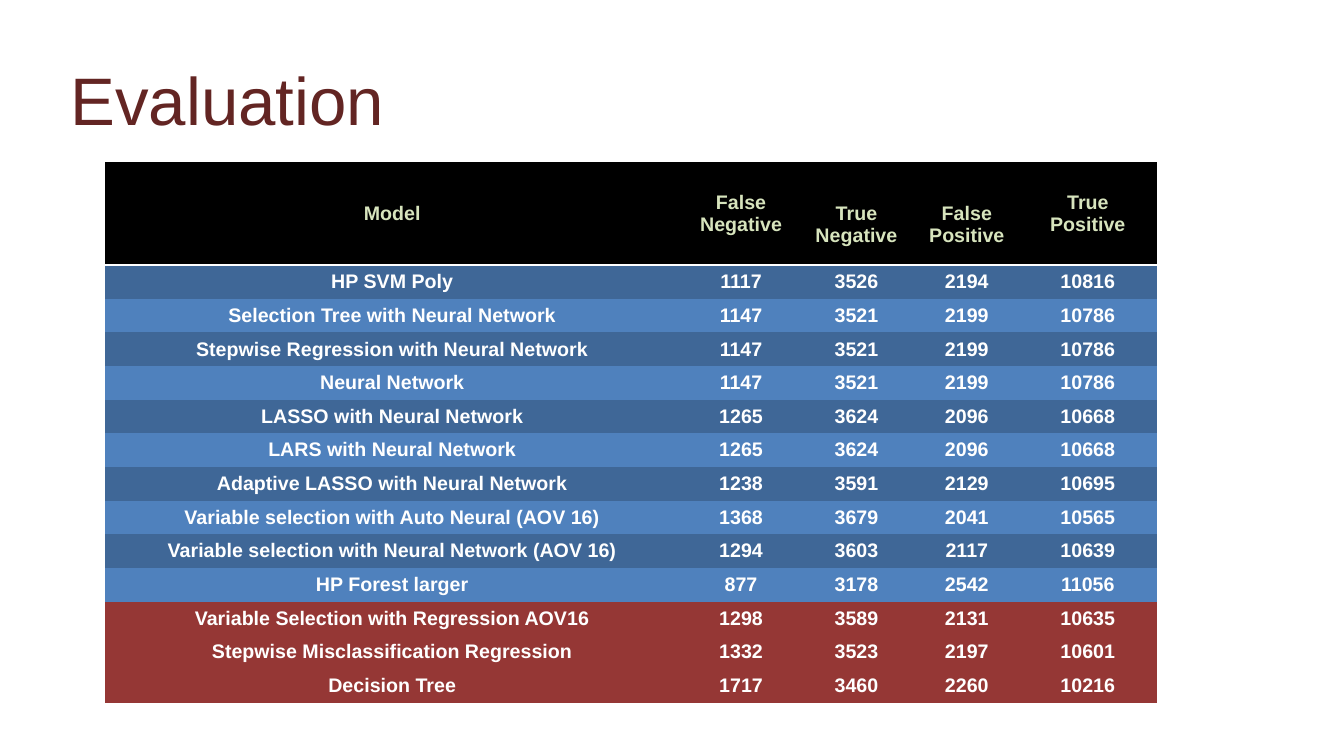
from pptx import Presentation
from pptx.dml.color import RGBColor
from pptx.enum.text import MSO_ANCHOR, PP_ALIGN
from pptx.oxml import parse_xml
from pptx.oxml.ns import nsdecls, qn
from pptx.util import Inches, Pt

LEFT, CENTER = PP_ALIGN.LEFT, PP_ALIGN.CENTER
TOP, MIDDLE = MSO_ANCHOR.TOP, MSO_ANCHOR.MIDDLE
NO_GRID = "{2D5ABB26-0587-4C30-8999-92F81FD0307C}"


class Theme:
    font = "Arial"
    title_size, cell_size = 48, 14
    title, head_text, text = "632523", "D7E4BD", "FFFFFF"
    head, dark, light, red = "000000", "3F6797", "4F81BD", "953735"
    rule = "FFFFFF"


HEADS = ["Model", "False\nNegative", "True\nNegative",
         "False\nPositive", "True\nPositive"]
LOWERED = (2, 3)
WIDTHS = [5.75, 1.17, 1.12, 1.07, 1.33]
HEAD_HIGH, ROW_HIGH = 1.02, 4.34 / 13
NEURAL = [
    ("HP SVM Poly", 1117, 3526, 2194, 10816),
    ("Selection Tree with Neural Network", 1147, 3521, 2199, 10786),
    ("Stepwise Regression with Neural Network", 1147, 3521, 2199, 10786),
    ("Neural Network", 1147, 3521, 2199, 10786),
    ("LASSO with Neural Network", 1265, 3624, 2096, 10668),
    ("LARS with Neural Network", 1265, 3624, 2096, 10668),
    ("Adaptive LASSO with Neural Network", 1238, 3591, 2129, 10695),
    ("Variable selection with Auto Neural (AOV 16)", 1368, 3679, 2041, 10565),
    ("Variable selection with Neural Network (AOV 16)", 1294, 3603, 2117, 10639),
    ("HP Forest larger", 877, 3178, 2542, 11056),
]
OTHERS = [
    ("Variable Selection with Regression AOV16", 1298, 3589, 2131, 10635),
    ("Stepwise Misclassification Regression", 1332, 3523, 2197, 10601),
    ("Decision Tree", 1717, 3460, 2260, 10216),
]


def write(frame, text, size, color, bold=False, align=LEFT):
    """Fill a text frame, one paragraph per line of text."""
    frame.word_wrap = True
    frame.text = text
    for para in frame.paragraphs:
        para.alignment = align
        font = para.runs[0].font
        font.name, font.size, font.bold = Theme.font, Pt(size), bold
        font.color.rgb = RGBColor.from_string(color)


class Page:
    def __init__(self, slide, theme):
        self.slide, self.theme = slide, theme

    def title(self, text, left, top, width, height):
        box = self.slide.shapes.add_textbox(
            Inches(left), Inches(top), Inches(width), Inches(height))
        frame = box.text_frame
        frame.margin_left = frame.margin_right = frame.margin_bottom = 0
        frame.margin_top = Inches(0.06)
        frame.vertical_anchor = TOP
        write(frame, text, self.theme.title_size, self.theme.title)

    def table(self, left, top, widths, heights):
        """Add a plain table with no style, banding or grid."""
        frame = self.slide.shapes.add_table(
            len(heights), len(widths), Inches(left), Inches(top),
            Inches(sum(widths)), Inches(sum(heights)))
        for style in frame.element.iter(qn("a:tableStyleId")):
            style.text = NO_GRID
        table = frame.table
        table.first_row = table.horz_banding = False
        for col, width in zip(table.columns, widths):
            col.width = Inches(width)
        for row, height in zip(table.rows, heights):
            row.height = Inches(height)
        return table

    def cell(self, cell, text, fill, color):
        cell.fill.solid()
        cell.fill.fore_color.rgb = RGBColor.from_string(fill)
        cell.vertical_anchor = MIDDLE
        cell.margin_right = Inches(0.15)
        write(cell.text_frame, str(text), self.theme.cell_size, color,
              bold=True, align=CENTER)

    def rule(self, cell):
        """Draw a line under a cell."""
        line = parse_xml(
            f'<a:lnB {nsdecls("a")} w="{Pt(2)}"><a:solidFill>'
            f'<a:srgbClr val="{self.theme.rule}"/></a:solidFill></a:lnB>')
        cell._tc.get_or_add_tcPr().insert(0, line)


def main():
    deck = Presentation()
    deck.slide_width, deck.slide_height = Inches(13.33), Inches(7.5)
    theme = Theme()
    page = Page(deck.slides.add_slide(deck.slide_layouts[6]), theme)
    page.title("Evaluation", 0.7, 0.52, 11.1, 0.81)

    models = NEURAL + OTHERS
    table = page.table(1.04, 1.61, WIDTHS,
                       [HEAD_HIGH] + [ROW_HIGH] * len(models))
    for col, head in enumerate(HEADS):
        cell = table.cell(0, col)
        page.cell(cell, head, theme.head, theme.head_text)
        page.rule(cell)
        if col in LOWERED:
            cell.margin_top = Inches(0.27)
    for row, model in enumerate(models):
        band = theme.light if row % 2 else theme.dark
        fill = band if row < len(NEURAL) else theme.red
        for col, value in enumerate(model):
            page.cell(table.cell(row + 1, col), value, fill, theme.text)

    deck.save("out.pptx")


if __name__ == "__main__":
    main()
